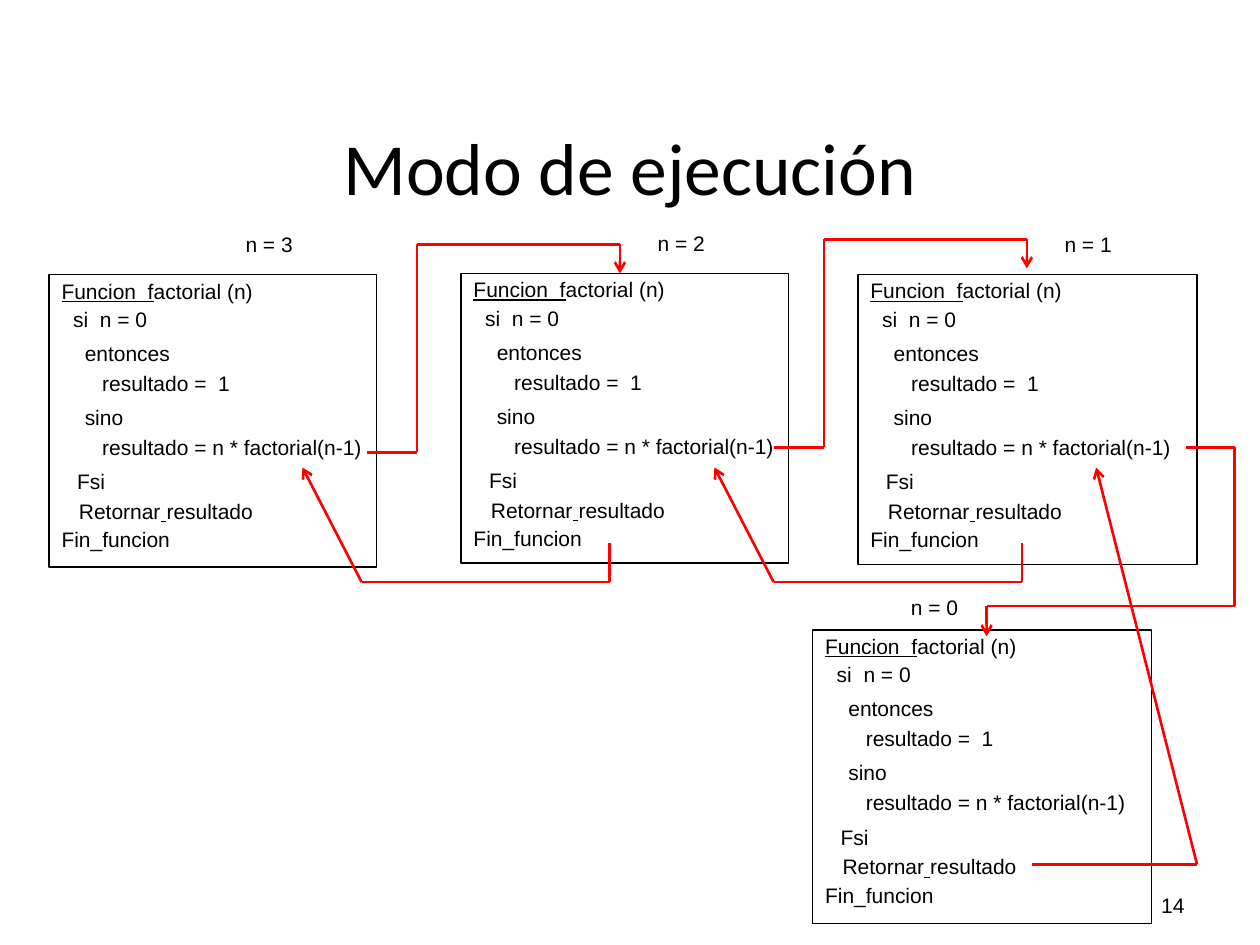
from itertools import pairwise

from lxml.etree import SubElement
from pptx import Presentation
from pptx.dml.color import RGBColor
from pptx.enum.shapes import MSO_CONNECTOR as CONN, MSO_SHAPE as SHAPE
from pptx.enum.text import MSO_ANCHOR as ANCHOR, PP_ALIGN as ALIGN
from pptx.oxml.ns import qn
from pptx.util import Inches, Pt

BLACK = RGBColor(0x00, 0x00, 0x00)
RED = RGBColor(0xFF, 0x00, 0x00)

BODY_FONT = {"name": "Arial", "size": Pt(12)}
WIDE_FONT = {"name": "Arial", "size": Pt(16)}
LINK_FONT = {**BODY_FONT, "underline": True}
TITLE_FONT = {"name": "Calibri", "size": Pt(42)}
CODE_PARAGRAPH = {"alignment": ALIGN.LEFT, "line_spacing": 0.9}

CODE = [
    [("Funcion  f", LINK_FONT), ("actorial (n)", BODY_FONT)],
    [("  si  n = 0", BODY_FONT)],
    [("   ", WIDE_FONT), ("entonces", BODY_FONT)],
    [("       resultado =  1", BODY_FONT)],
    [("   ", WIDE_FONT), ("sino", BODY_FONT)],
    [("       resultado = n * factorial(n-1)", BODY_FONT)],
    [("  ", WIDE_FONT), ("Fsi", BODY_FONT)],
    [("   Retornar", BODY_FONT), (" ", LINK_FONT), ("resultado", BODY_FONT)],
    [("Fin_funcion", BODY_FONT)],
]
FRAMES = [
    (0.39, 2.18, 2.6, 2.32),
    (3.66, 2.17, 2.6, 2.3),
    (6.81, 2.18, 2.69, 2.3),
    (6.45, 5, 2.69, 2.33),
]
LABELS = [
    ("n = 3", 1.85, 1.79),
    ("n = 2", 5.12, 1.78),
    ("n = 1", 8.35, 1.79),
    ("n = 0", 7.13, 4.67),
]


def set_all(obj, values):
    """Set each attribute of obj named in values."""
    for name, value in values.items():
        setattr(obj, name, value)


def add_run(p, text, font):
    """Append a black run with the given font values."""
    r = p.add_run()
    r.text = text
    set_all(r.font, font)
    r.font.color.rgb = BLACK


def add_title(s, text):
    """Place and fill the title placeholder."""
    sp = s.shapes.title
    set_all(sp, {"left": Inches(0.75), "top": Inches(0.84),
                 "width": Inches(8.5), "height": Inches(0.96)})
    tf = sp.text_frame
    tf.vertical_anchor = ANCHOR.MIDDLE
    p = tf.paragraphs[0]
    p.alignment = ALIGN.CENTER
    add_run(p, text, TITLE_FONT)


def add_label(s, text, box, align=ALIGN.LEFT, anchor=ANCHOR.TOP):
    """Add a one-line text box."""
    tf = s.shapes.add_textbox(*map(Inches, box)).text_frame
    set_all(tf, {"word_wrap": True, "vertical_anchor": anchor})
    p = tf.paragraphs[0]
    p.alignment = align
    add_run(p, text, BODY_FONT)


def add_code_frame(s, box):
    """Add an outlined frame holding the factorial pseudocode."""
    sp = s.shapes.add_shape(SHAPE.RECTANGLE, *map(Inches, box))
    sp.shadow.inherit = False
    sp.fill.background()
    sp.line.color.rgb = BLACK
    sp.line.width = Pt(0.75)
    tf = sp.text_frame
    set_all(tf, {"word_wrap": True, "vertical_anchor": ANCHOR.TOP})
    for i, runs in enumerate(CODE):
        p = tf.add_paragraph() if i else tf.paragraphs[0]
        set_all(p, CODE_PARAGRAPH)
        p.space_before = Pt(3.2 if i else 0)
        pPr = p._p.get_or_add_pPr()
        pPr.set("marL", str(Inches(0.38)))
        pPr.set("indent", str(-Inches(0.38)))
        for text, font in runs:
            add_run(p, text, font)


def add_line(s, start, end):
    """Add a red straight connector and return it."""
    line = s.shapes.add_connector(CONN.STRAIGHT, *map(Inches, start + end))
    line.line.color.rgb = RED
    line.line.width = Pt(1.5)
    SubElement(line._element.spPr, qn("a:effectLst"))
    return line


def add_route(s, *points):
    """Join the points with lines and put an arrowhead on the last."""
    for start, end in pairwise(points):
        line = add_line(s, start, end)
    SubElement(line.line._get_or_add_ln(), qn("a:tailEnd"), type="arrow")


def add_call(s, x, y):
    """Route a call from the recursive line to the next frame."""
    add_route(s, (x, y), (x + 0.4, y), (x + 0.4, y - 1.65),
              (x + 2.01, y - 1.65), (x + 2.01, y - 1.42))


def add_return(s, x):
    """Route a result back to the calling frame."""
    add_route(s, (x, 4.31), (x, 4.62), (x - 1.97, 4.62), (x - 2.44, 3.71))


def main():
    """Build the slide."""
    prs = Presentation()
    prs.slide_width, prs.slide_height = Inches(10), Inches(7.5)
    s = prs.slides.add_slide(prs.slide_layouts[5])
    add_label(s, "14", (7.17, 6.83, 2.33, 0.5), ALIGN.RIGHT, ANCHOR.BOTTOM)
    add_title(s, "Modo de ejecución")
    for box in FRAMES:
        add_code_frame(s, box)
    add_call(s, 2.91, 3.59)
    add_return(s, 4.84)
    add_call(s, 6.14, 3.55)
    add_return(s, 8.11)
    add_route(s, (9.41, 3.55), (9.8, 3.55), (9.8, 4.81), (7.83, 4.81), (7.83, 5.05))
    add_route(s, (8.19, 6.86), (9.5, 6.86), (8.7, 3.71))
    for text, x, y in LABELS:
        add_label(s, text, (x, y, 0.71, 0.3))
    prs.save("out.pptx")


if __name__ == "__main__":
    main()
